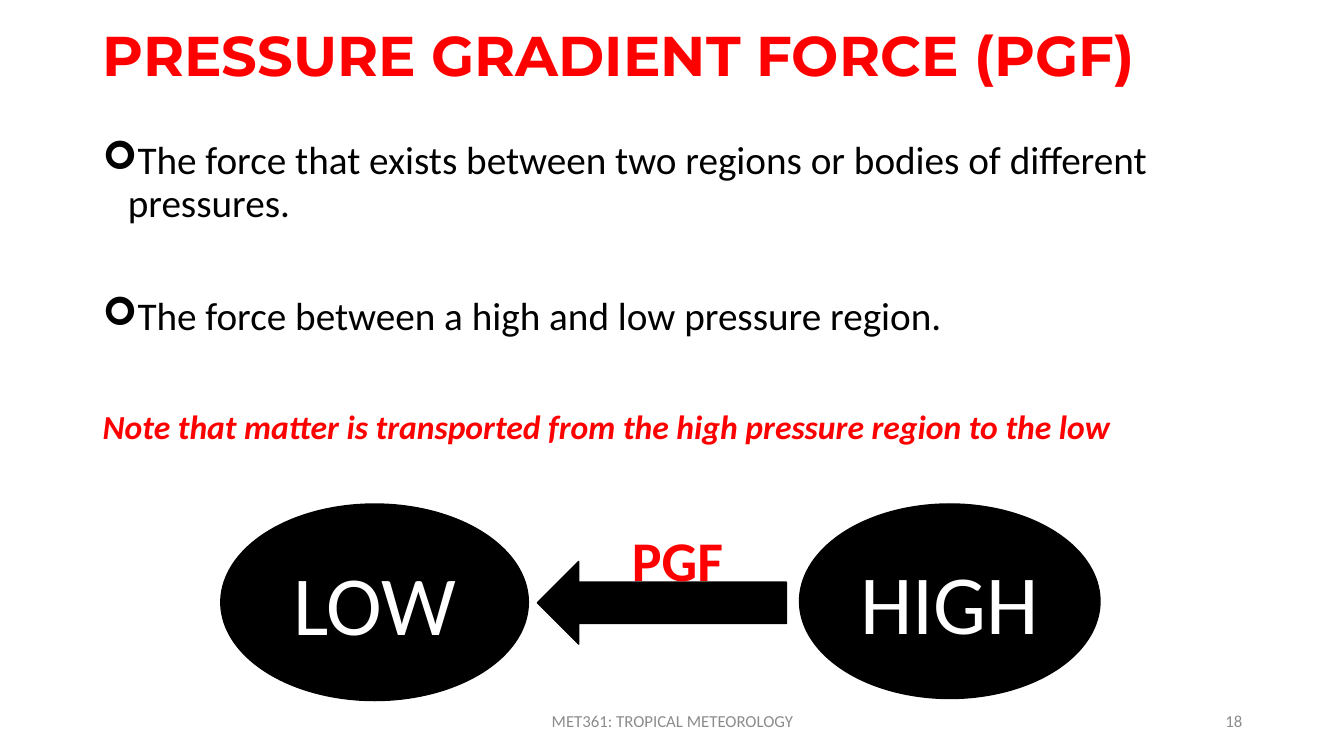
"""Build the slide on the pressure gradient force between low and high pressure."""
from lxml import etree
from pptx import Presentation
from pptx import util as u
from pptx.dml.color import RGBColor
from pptx.enum import shapes, text
from pptx.oxml import ns

COLORS = {"red": "FF0000", "black": "000000", "white": "FFFFFF", "grey": "8C8C8C"}
ALIGN = text.PP_ALIGN
MIDDLE = text.MSO_ANCHOR.MIDDLE


def write(paragraph, words, size, color, font="Calibri", bold=False, italic=False,
          align=ALIGN.LEFT, spacing=1.0, before=0, bullet=None):
    paragraph.alignment = align
    paragraph.line_spacing = spacing
    paragraph.space_before = u.Pt(before)
    run = paragraph.add_run()
    run.text = words
    run.font.name = font
    run.font.size = u.Pt(size)
    run.font.bold = bold
    run.font.italic = italic
    run.font.color.rgb = RGBColor.from_string(COLORS[color])
    if bullet:
        properties = paragraph._p.get_or_add_pPr()
        properties.set("marL", str(u.Inches(0.25)))
        properties.set("indent", str(u.Inches(-0.25)))
        etree.SubElement(properties, ns.qn("a:buFont")).set("typeface", "Wingdings")
        etree.SubElement(properties, ns.qn("a:buChar")).set("char", bullet)


def add_frame(left, top, width, height, anchor=MIDDLE):
    box = slide.shapes.add_textbox(u.Inches(left), u.Inches(top), u.Inches(width), u.Inches(height))
    box.text_frame.word_wrap = True
    box.text_frame.vertical_anchor = anchor
    return box.text_frame


deck = Presentation()
deck.slide_width, deck.slide_height = u.Inches(13.33), u.Inches(7.5)
slide = deck.slides.add_slide(deck.slide_layouts[6])

title = add_frame(0.92, 0.17, 11.5, 0.81)
write(title.paragraphs[0], "PRESSURE GRADIENT FORCE (PGF)", 40, "red",
      font="Montserrat", bold=True, spacing=0.9)

course = add_frame(4.42, 6.95, 4.5, 0.4)
write(course.paragraphs[0], "MET361: TROPICAL METEOROLOGY", 12, "grey", align=ALIGN.CENTER)
page = add_frame(9.42, 6.95, 3, 0.4)
write(page.paragraphs[0], "18", 12, "grey", align=ALIGN.RIGHT)

definitions = add_frame(0.92, 1.35, 11.5, 4.76, anchor=text.MSO_ANCHOR.TOP)
write(definitions.paragraphs[0],
      "The force that exists between two regions or bodies of different pressures.",
      28, "black", spacing=0.9, before=10, bullet="➢")
write(definitions.add_paragraph(), "The force between a high and low pressure region.",
      28, "black", spacing=0.9, before=51, bullet="➢")
write(definitions.add_paragraph(),
      "Note that matter is transported from the high pressure region to the low",
      24, "red", bold=True, italic=True, spacing=0.9, before=51)

diagram = [
    (shapes.MSO_SHAPE.OVAL, 2.19, 5, 3.05, 1.95, "LOW"),
    (shapes.MSO_SHAPE.OVAL, 7.93, 5, 2.98, 1.93, "HIGH"),
    (shapes.MSO_SHAPE.LEFT_ARROW, 5.33, 5.57, 2.47, 0.82, None),
]
for kind, left, top, width, height, pressure in diagram:
    part = slide.shapes.add_shape(kind, u.Inches(left), u.Inches(top), u.Inches(width), u.Inches(height))
    part.shadow.inherit = False
    part.fill.solid()
    part.fill.fore_color.rgb = RGBColor.from_string(COLORS["black"])
    part.line.color.rgb = RGBColor.from_string(COLORS["black"])
    part.line.width = u.Pt(1)
    if pressure:
        part.text_frame.vertical_anchor = MIDDLE
        write(part.text_frame.paragraphs[0], pressure, 60, "white", align=ALIGN.CENTER)

force = add_frame(6.17, 5.16, 1.4, 0.77, anchor=text.MSO_ANCHOR.TOP)
write(force.paragraphs[0], "PGF", 40, "red", bold=True)

deck.save("out.pptx")
